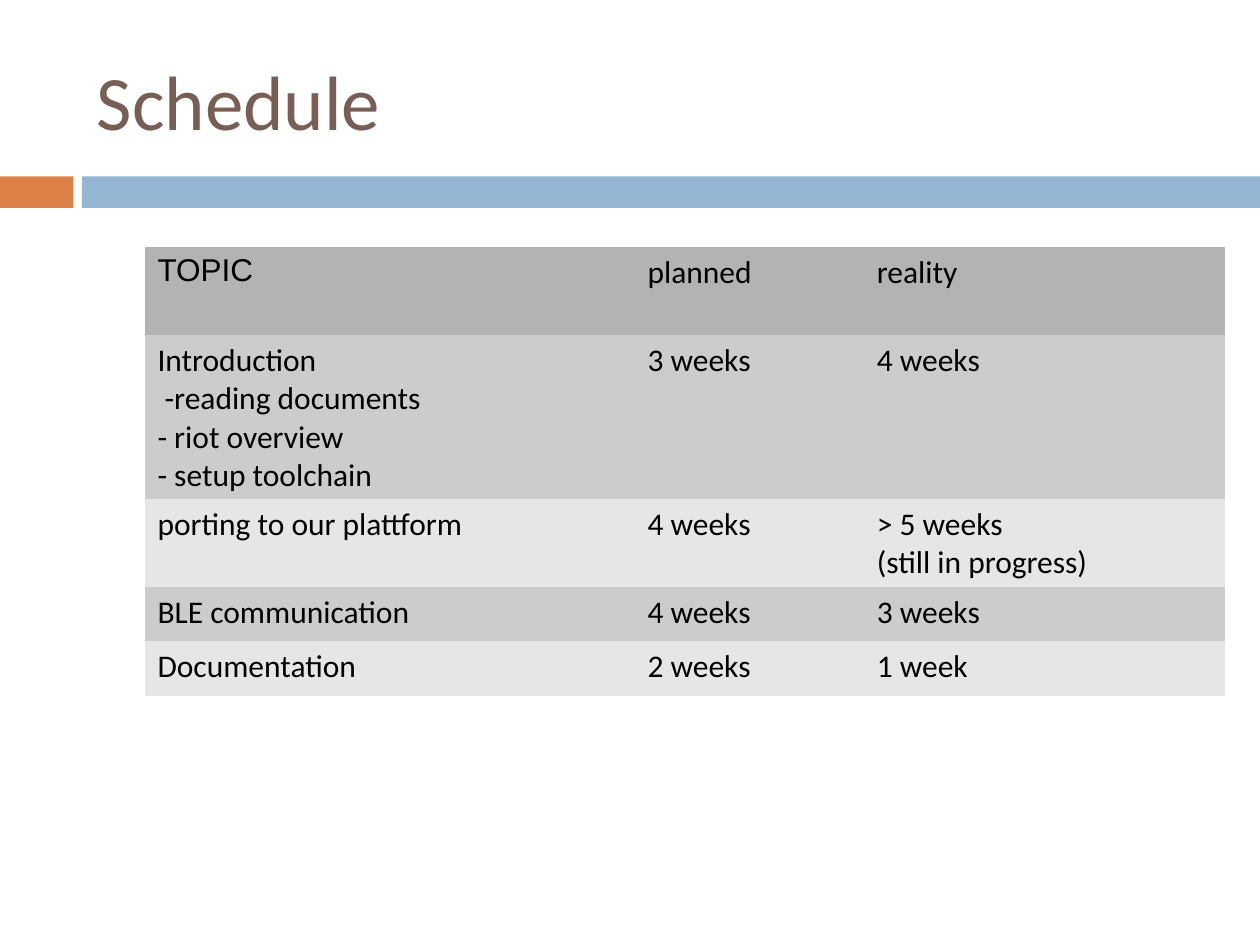
from pptx import Presentation
from pptx import util as u
from pptx.dml.color import RGBColor
from pptx.enum import shapes, text

ROWS = [
    ("TOPIC", "planned", "reality"),
    ("Introduction\v -reading documents\n- riot overview\n- setup toolchain",
     "3 weeks", "4 weeks"),
    ("porting to our plattform", "4 weeks", "> 5 weeks\v(still in progress)"),
    ("BLE communication", "4 weeks", "3 weeks"),
    ("Documentation", "2 weeks", "1 week"),
]
WIDTHS = [3.89, 1.82, 2.86]
HEIGHTS = [0.7, 1.3, 0.7, 0.43, 0.43]
HEAD, DARK, LIGHT = "B3B3B3", "CCCCCC", "E6E6E6"


def paint(fill, color):
    fill.solid()
    fill.fore_color.rgb = RGBColor.from_string(color)


def write(frame, words, size, color, font="Calibri"):
    frame.text = words
    for para in frame.paragraphs:
        for run in para.runs:
            run.font.size = u.Pt(size)
            run.font.name = font
            run.font.bold = False
            run.font.color.rgb = RGBColor.from_string(color)


def add_bar(slide, left, width, color):
    bar = slide.shapes.add_shape(
        shapes.MSO_SHAPE.RECTANGLE,
        u.Inches(left), u.Inches(1.4), u.Inches(width), u.Inches(0.25))
    bar.shadow.inherit = False
    paint(bar.fill, color)
    bar.line.fill.background()


def add_title(slide, words):
    box = slide.shapes.add_textbox(
        u.Inches(0.67), u.Inches(0.25), u.Inches(8.92), u.Inches(1.08))
    frame = box.text_frame
    frame.word_wrap = True
    frame.vertical_anchor = text.MSO_ANCHOR.MIDDLE
    write(frame, words, 44, "775F55")


def add_plan(slide):
    table = slide.shapes.add_table(
        len(ROWS), len(WIDTHS), u.Inches(1.15), u.Inches(1.96),
        u.Inches(sum(WIDTHS)), u.Inches(sum(HEIGHTS))).table
    for col, width in zip(table.columns, WIDTHS):
        col.width = u.Inches(width)
    for r, (row, height) in enumerate(zip(table.rows, HEIGHTS)):
        row.height = u.Inches(height)
        # Header first, then alternating bands
        shade = HEAD if r == 0 else DARK if r % 2 else LIGHT
        for c, cell in enumerate(row.cells):
            paint(cell.fill, shade)
            font = "Arial" if r == c == 0 else "Calibri"
            write(cell.text_frame, ROWS[r][c], 18, "000000", font)
    # Plain table: no style borders between the bands
    style = table._tbl.tblPr.find("{*}tableStyleId")
    style.text = "{2D5ABB26-0587-4C30-8999-92F81FD0307C}"


def main():
    deck = Presentation()
    deck.slide_width, deck.slide_height = u.Inches(10), u.Inches(7.5)
    slide = deck.slides.add_slide(deck.slide_layouts[6])

    # Title and divider bars
    add_bar(slide, 0, 0.58, "DD8047")
    add_bar(slide, 0.65, 9.35, "94B6D2")
    add_title(slide, "Schedule")

    # Schedule table
    add_plan(slide)
    deck.save("out.pptx")


if __name__ == "__main__":
    main()
